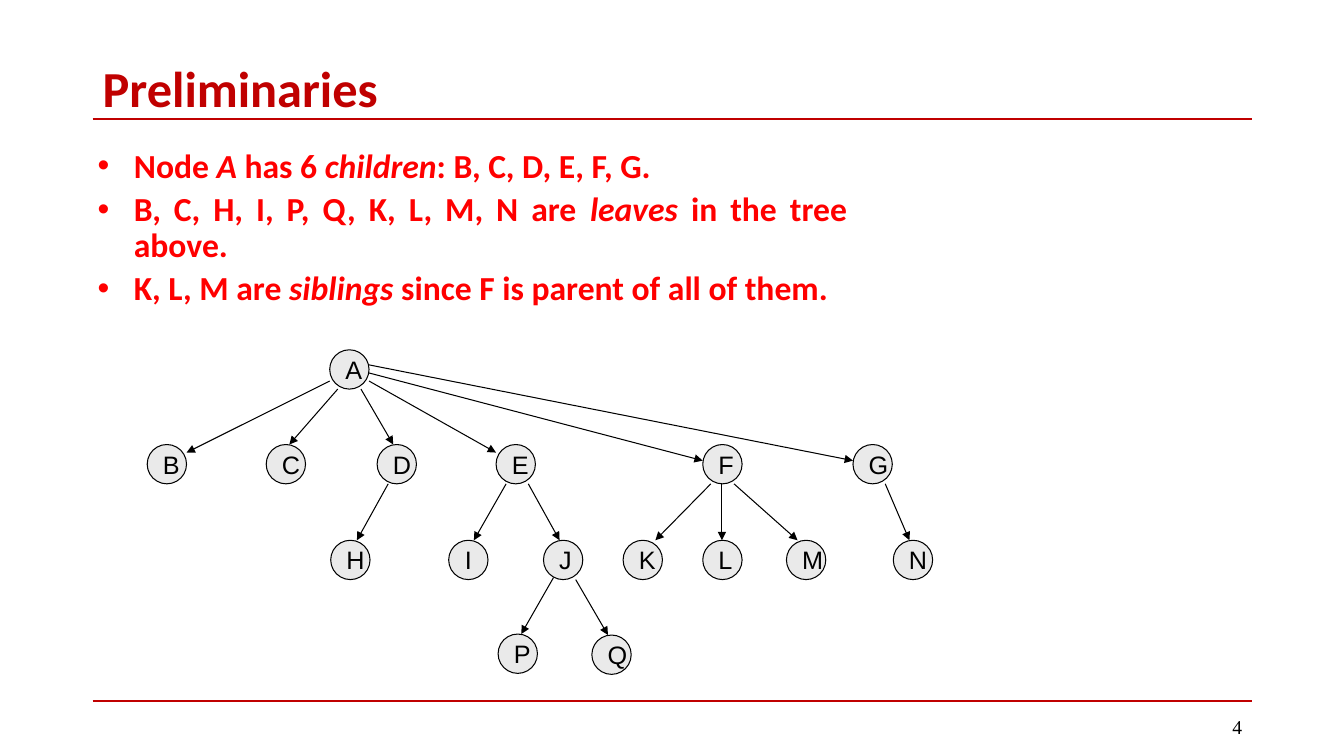
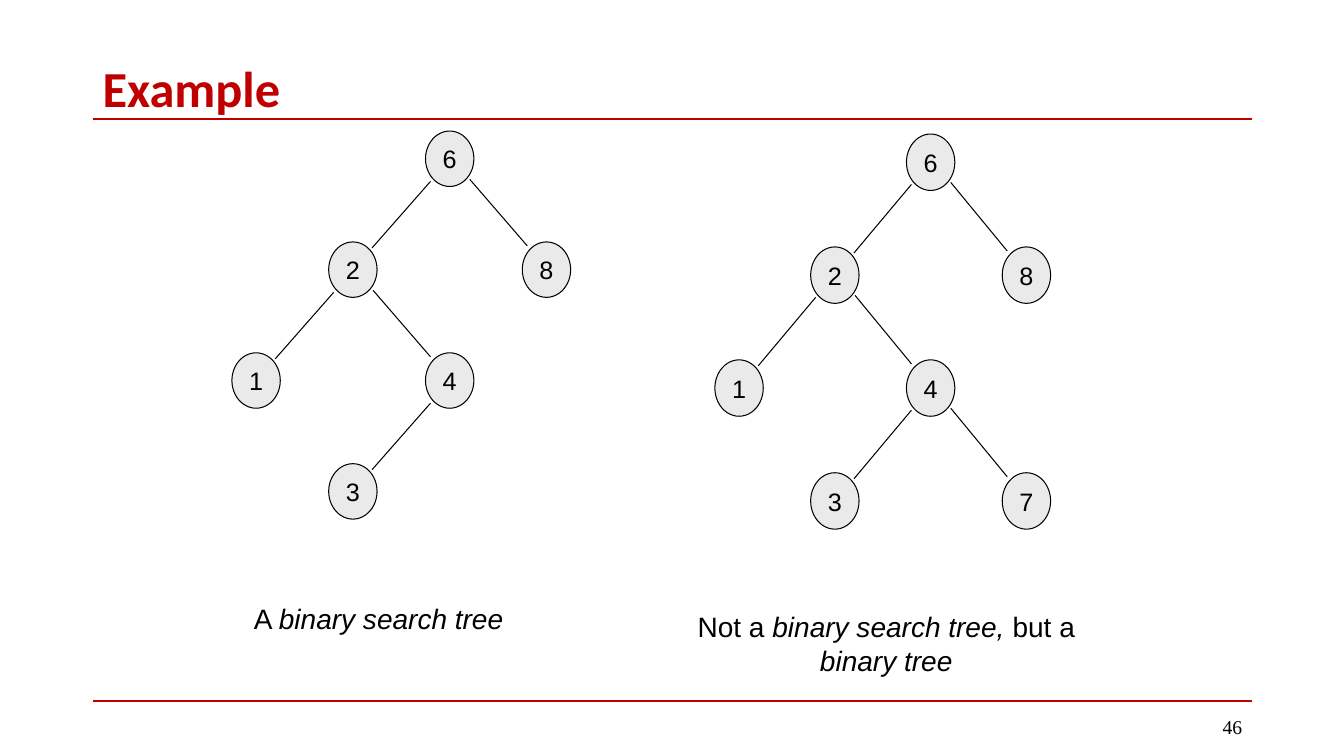
"""Build two lecture slides about trees and binary search trees."""
from dataclasses import dataclass
from typing import NamedTuple

from pptx import Presentation
from pptx.dml.color import RGBColor
from pptx.enum.shapes import MSO_CONNECTOR as Connector, MSO_SHAPE as Preset
from pptx.enum.text import MSO_ANCHOR as Anchor, PP_ALIGN as Align
from pptx.oxml.ns import qn
from pptx.oxml.xmlchemy import OxmlElement
from pptx.slide import Slide
from pptx.text.text import TextFrame
from pptx.util import Emu, Pt

EMU_PER_PX = 9144
DARK_RED, RED, BLACK, NODE_GRAY = "C00000", "FF0000", "000000", "EAEAEA"


class Point(NamedTuple):
    x: int
    y: int


class Box(NamedTuple):
    left: int
    top: int
    width: int
    height: int


class Edge(NamedTuple):
    parent: str
    child: str
    leave: Point
    enter: Point


@dataclass(frozen=True)
class TextStyle:
    font: str
    size: int
    color: str = BLACK
    bold: bool = False


@dataclass(frozen=True)
class Segment:
    text: str
    italic: bool = False


@dataclass(frozen=True)
class BinaryTree:
    origin: Point
    step: Point
    node: Point
    cells: dict[str, Point]
    links: tuple[str, ...]


@dataclass(frozen=True)
class Caption:
    box: Box
    align: Align
    segments: tuple[Segment, ...]


TITLE_STYLE = TextStyle("Calibri", 36, DARK_RED, True)
BODY_STYLE = TextStyle("Calibri", 24, RED, True)
PAGE_STYLE = TextStyle("Times New Roman", 14)
NODE_STYLE = TextStyle("Arial", 18)
CAPTION_STYLE = TextStyle("Arial", 20)

BULLETS = (
    (Segment("Node "), Segment("A", True), Segment(" has 6 "),
     Segment("children", True), Segment(": B, C, D, E, F, G.")),
    (Segment("B, C, H, I, P, Q, K, L, M, N are "), Segment("leaves ", True),
     Segment("in the tree above.")),
    (Segment("K, L, M are "), Segment("siblings", True),
     Segment(" since F is parent of all of them.")),
)

DIAMETER = 39
TREE_NODES = {
    "A": Point(327, 347),
    "B": Point(146, 441), "C": Point(264, 441), "D": Point(374, 441),
    "E": Point(492, 441), "F": Point(697, 441), "G": Point(846, 441),
    "H": Point(328, 536), "I": Point(445, 536), "J": Point(539, 536),
    "K": Point(618, 536), "L": Point(697, 536), "M": Point(780, 536),
    "N": Point(886, 536),
    "P": Point(494, 629), "Q": Point(587, 630),
}
TREE_EDGES = (
    Edge("A", "B", Point(0, 31), Point(39, 8)),
    Edge("A", "C", Point(8, 39), Point(23, 0)),
    Edge("A", "D", Point(31, 39), Point(16, 0)),
    Edge("A", "E", Point(39, 31), Point(0, 8)),
    Edge("A", "F", Point(39, 23), Point(0, 16)),
    Edge("A", "G", Point(39, 15), Point(0, 16)),
    Edge("D", "H", Point(11, 39), Point(26, 0)),
    Edge("E", "I", Point(10, 39), Point(25, 0)),
    Edge("E", "J", Point(32, 39), Point(16, 0)),
    Edge("F", "K", Point(8, 39), Point(32, 0)),
    Edge("F", "L", Point(19, 39), Point(19, 0)),
    Edge("F", "M", Point(31, 39), Point(11, 0)),
    Edge("G", "N", Point(32, 39), Point(16, 0)),
    Edge("J", "P", Point(10, 37), Point(23, 0)),
    Edge("J", "Q", Point(32, 39), Point(16, 0)),
)

SEARCH_CELLS = {"6": Point(2, 0), "2": Point(1, 1), "8": Point(3, 1),
                "1": Point(0, 2), "4": Point(2, 2), "3": Point(1, 3)}
SEARCH_LINKS = ("62", "68", "21", "24", "43")
BINARY_TREES = (
    BinaryTree(Point(230, 130), Point(96, 110), Point(48, 55),
               SEARCH_CELLS, SEARCH_LINKS),
    BinaryTree(Point(709, 133), Point(95, 112), Point(48, 56),
               SEARCH_CELLS | {"7": Point(3, 3)}, SEARCH_LINKS + ("47",)),
)
LEFT_LINK = (Point(5, 50), Point(43, 6))
RIGHT_LINK = (Point(44, 48), Point(5, 4))
CAPTIONS = (
    Caption(Box(242, 592, 269, 44), Align.LEFT,
            (Segment("A "), Segment("binary search tree", True))),
    Caption(Box(650, 600, 458, 78), Align.CENTER,
            (Segment("Not a "), Segment("binary search tree, ", True),
             Segment("but a "), Segment("binary tree", True))),
)


def px(length: int) -> Emu:
    """Turn px into EMU."""
    return Emu(length * EMU_PER_PX)


def rgb(color: str) -> RGBColor:
    """Turn a hex string into a colour."""
    return RGBColor.from_string(color)


def write(paragraph, segments: tuple[Segment, ...], style: TextStyle) -> None:
    """Add the segments to a paragraph run by run."""
    for segment in segments:
        run = paragraph.add_run()
        run.text = segment.text
        run.font.name = style.font
        run.font.size = Pt(style.size)
        run.font.bold = style.bold
        run.font.italic = segment.italic
        run.font.color.rgb = rgb(style.color)


def add_text_frame(slide: Slide, box: Box, anchor: Anchor = Anchor.TOP) -> TextFrame:
    """Add a wrapping text box and return its frame."""
    frame = slide.shapes.add_textbox(*map(px, box)).text_frame
    frame.word_wrap = True
    frame.vertical_anchor = anchor
    return frame


def add_line(slide: Slide, start: Point, end: Point, color: str = BLACK,
             width: float = 0.75, arrow: bool = False) -> None:
    """Draw a straight line, with an arrowhead at its end if asked."""
    line = slide.shapes.add_connector(Connector.STRAIGHT, *map(px, start + end))
    line.line.color.rgb = rgb(color)
    line.line.width = Pt(width)
    if arrow:
        head = OxmlElement("a:tailEnd")
        head.set("type", "triangle")
        line.line._get_or_add_ln().append(head)
    line._element.spPr.append(OxmlElement("a:effectLst"))


def add_node(slide: Slide, label: str, box: Box) -> None:
    """Draw a labelled tree node."""
    shape = slide.shapes.add_shape(Preset.OVAL, *map(px, box))
    shape.shadow.inherit = False
    shape.fill.solid()
    shape.fill.fore_color.rgb = rgb(NODE_GRAY)
    shape.line.color.rgb = rgb(BLACK)
    shape.line.width = Pt(0.75)
    shape.text_frame.vertical_anchor = Anchor.MIDDLE
    paragraph = shape.text_frame.paragraphs[0]
    paragraph.alignment = Align.CENTER
    write(paragraph, (Segment(label),), NODE_STYLE)


def add_graph(slide: Slide, nodes: dict[str, Point], size: Point,
              edges: tuple[Edge, ...], arrow: bool) -> None:
    """Draw nodes and the edges between them."""
    for label, corner in nodes.items():
        add_node(slide, label, Box(*corner, *size))
    for edge in edges:
        parent, child = nodes[edge.parent], nodes[edge.child]
        start = Point(parent.x + edge.leave.x, parent.y + edge.leave.y)
        end = Point(child.x + edge.enter.x, child.y + edge.enter.y)
        add_line(slide, start, end, arrow=arrow)


def add_binary_tree(slide: Slide, tree: BinaryTree) -> None:
    """Place a binary tree on its grid and draw it."""
    nodes = {label: Point(tree.origin.x + cell.x * tree.step.x,
                          tree.origin.y + cell.y * tree.step.y)
             for label, cell in tree.cells.items()}
    edges = tuple(
        Edge(parent, child,
             *(LEFT_LINK if nodes[child].x < nodes[parent].x else RIGHT_LINK))
        for parent, child in tree.links)
    add_graph(slide, nodes, tree.node, edges, arrow=False)


def add_bullets(slide: Slide) -> None:
    """Add the justified bullet list."""
    frame = add_text_frame(slide, Box(50, 143, 800, 537))
    for index, segments in enumerate(BULLETS):
        paragraph = frame.add_paragraph() if index else frame.paragraphs[0]
        paragraph.alignment = Align.JUSTIFY
        paragraph.line_spacing = 0.9
        paragraph.space_before = Pt(5 if index else 0)
        properties = paragraph._p.get_or_add_pPr()
        properties.set("marL", str(px(73)))
        properties.set("indent", str(px(-36)))
        for tag, name, value in (("a:buFont", "typeface", "Arial"),
                                 ("a:buChar", "char", "•")):
            bullet = OxmlElement(tag)
            bullet.set(name, value)
            properties.append(bullet)
        bullet_color = OxmlElement("a:buClr")
        color = OxmlElement("a:srgbClr")
        color.set("val", RED)
        bullet_color.append(color)
        properties.find(qn("a:buFont")).addprevious(bullet_color)
        write(paragraph, segments, BODY_STYLE)


def add_slide(presentation, title: str, number: int) -> Slide:
    """Add a slide with its title, two rules and page number."""
    slide = presentation.slides.add_slide(presentation.slide_layouts[6])
    for y in (118, 695):
        add_line(slide, Point(92, y), Point(1242, y), DARK_RED, 1.5)
    heading = add_text_frame(slide, Box(92, 61, 1150, 58), Anchor.MIDDLE).paragraphs[0]
    heading.line_spacing = 0.9
    write(heading, (Segment(title),), TITLE_STYLE)
    page = add_text_frame(slide, Box(942, 701, 300, 40), Anchor.MIDDLE).paragraphs[0]
    page.alignment = Align.RIGHT
    write(page, (Segment(str(number)),), PAGE_STYLE)
    return slide


def main() -> None:
    """Build and save the presentation."""
    presentation = Presentation()
    presentation.slide_width, presentation.slide_height = px(1333), px(750)

    preliminaries = add_slide(presentation, "Preliminaries", 4)
    add_bullets(preliminaries)
    add_graph(preliminaries, TREE_NODES, Point(DIAMETER, DIAMETER), TREE_EDGES, arrow=True)

    example = add_slide(presentation, "Example", 46)
    for tree in BINARY_TREES:
        add_binary_tree(example, tree)
    for caption in CAPTIONS:
        paragraph = add_text_frame(example, caption.box).paragraphs[0]
        paragraph.alignment = caption.align
        write(paragraph, caption.segments, CAPTION_STYLE)

    presentation.save("out.pptx")


if __name__ == "__main__":
    main()
